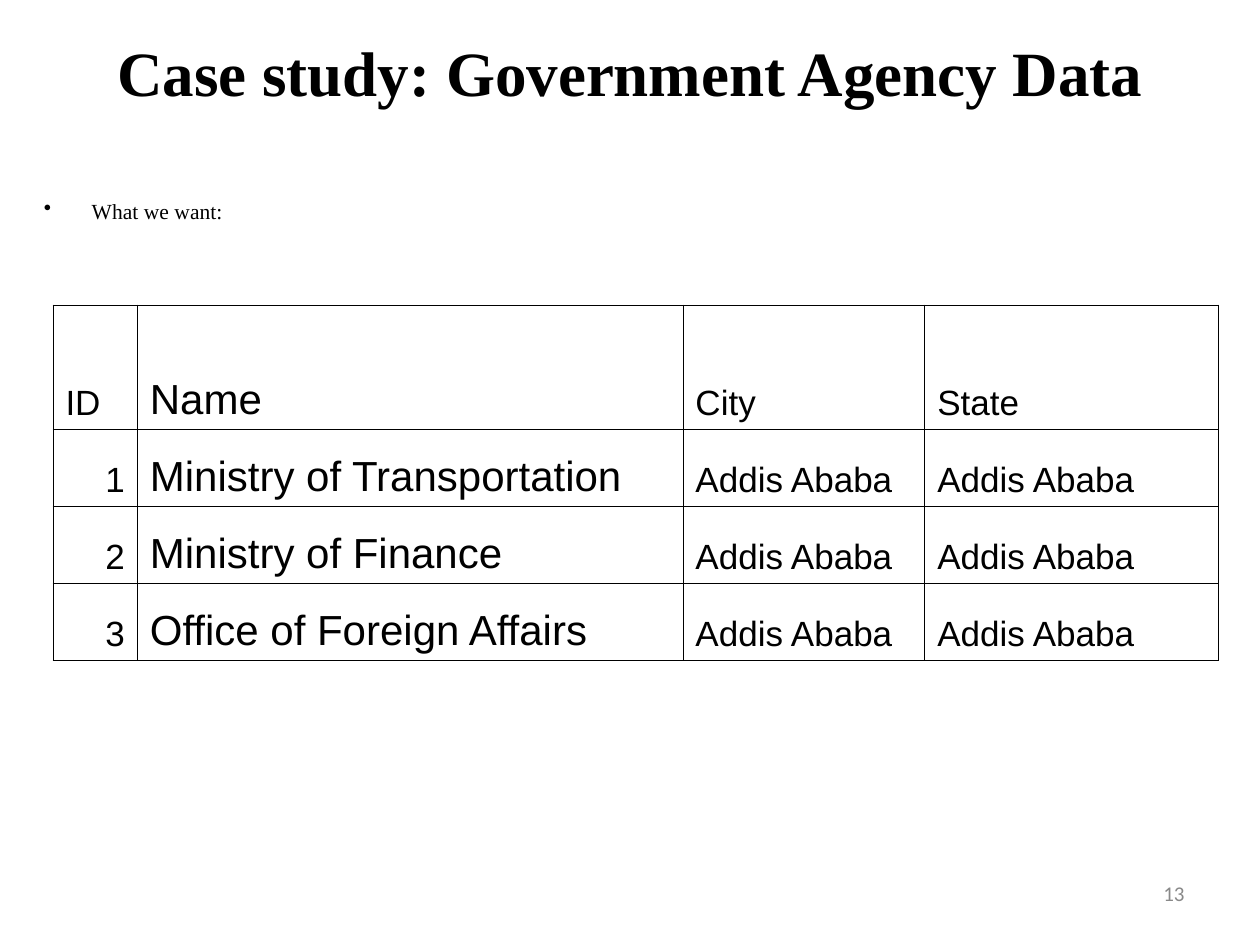
import pptx
import pptx.util
import pptx.dml.color
import pptx.enum.text
import pptx.oxml
import pptx.oxml.ns

Inches, Pt = pptx.util.Inches, pptx.util.Pt
ALIGN = pptx.enum.text.PP_ALIGN
ANCHOR = pptx.enum.text.MSO_ANCHOR

ROWS = [
    ("ID", "Name", "City", "State"),
    ("1", "Ministry of Transportation", "Addis Ababa", "Addis Ababa"),
    ("2", "Ministry of Finance", "Addis Ababa", "Addis Ababa"),
    ("3", "Office of Foreign Affairs", "Addis Ababa", "Addis Ababa"),
]
WIDTHS = (0.67, 4.33, 1.92, 2.33)
HEIGHTS = (0.99, 0.61, 0.61, 0.61)


def color(code):
    return pptx.dml.color.RGBColor.from_string(code)


def write(frame, text, font="Arial", size=20, ink="000000", bold=False,
          align=ALIGN.LEFT):
    """Put formatted text in the first paragraph of a frame."""
    para = frame.paragraphs[0]
    para.alignment = align
    run = para.add_run()
    run.text = text
    run.font.name = font
    run.font.size = Pt(size)
    run.font.bold = bold
    run.font.color.rgb = color(ink)
    return para


def add_text(slide, box, text, anchor=ANCHOR.MIDDLE, **style):
    frame = slide.shapes.add_textbox(*map(Inches, box)).text_frame
    frame.word_wrap = True
    frame.vertical_anchor = anchor
    return write(frame, text, **style)


def add_bullet(para, indent):
    props = para._p.get_or_add_pPr()
    props.set("marL", str(Inches(indent)))
    props.set("indent", str(-Inches(indent)))
    mark = pptx.oxml.ns.nsdecls("a")
    props.append(pptx.oxml.parse_xml(f'<a:buChar {mark} char="•"/>'))


def add_border(cell, ink="000000", width=0.45):
    props = cell._tc.get_or_add_tcPr()
    mark = pptx.oxml.ns.nsdecls("a")
    for place, side in enumerate("LRTB"):
        props.insert(place, pptx.oxml.parse_xml(
            f'<a:ln{side} {mark} w="{Pt(width)}"><a:solidFill>'
            f'<a:srgbClr val="{ink}"/></a:solidFill></a:ln{side}>'))


def add_grid(slide, left, top):
    size = (left, top, sum(WIDTHS), sum(HEIGHTS))
    table = slide.shapes.add_table(
        len(ROWS), len(WIDTHS), *map(Inches, size)).table
    table.first_row = table.horz_banding = False
    for col, width in zip(table.columns, WIDTHS):
        col.width = Inches(width)
    for row, height in zip(table.rows, HEIGHTS):
        row.height = Inches(height)
    for r, row in enumerate(ROWS):
        for c, text in enumerate(row):
            cell = table.cell(r, c)
            cell.fill.background()
            cell.vertical_anchor = ANCHOR.BOTTOM
            # Names are larger, ID numbers sit on the right
            write(cell.text_frame, text, size=24 if c == 1 else 20,
                  align=ALIGN.RIGHT if r and c == 0 else ALIGN.LEFT)
            add_border(cell)


def main():
    deck = pptx.Presentation()
    deck.slide_width, deck.slide_height = Inches(10), Inches(7.5)
    slide = deck.slides.add_slide(deck.slide_layouts[6])

    # Title
    add_text(slide, (0.5, 0.13, 9, 0.87),
             "Case study: Government Agency Data",
             font="Times New Roman", size=36, bold=True, align=ALIGN.CENTER)

    # Lead-in
    lead = add_text(slide, (0.25, 1.58, 9.5, 0.5), "What we want:",
                    anchor=ANCHOR.TOP, font="Times New Roman", size=12.3)
    lead.line_spacing = 0.7
    lead.space_before = Pt(6.5)
    add_bullet(lead, 0.38)

    # Agency table
    add_grid(slide, 0.42, 2.42)

    # Page number
    add_text(slide, (7.17, 6.83, 2.33, 0.52), "13", font="Calibri",
             size=12, ink="898989", align=ALIGN.RIGHT)

    deck.save("out.pptx")


if __name__ == "__main__":
    main()
